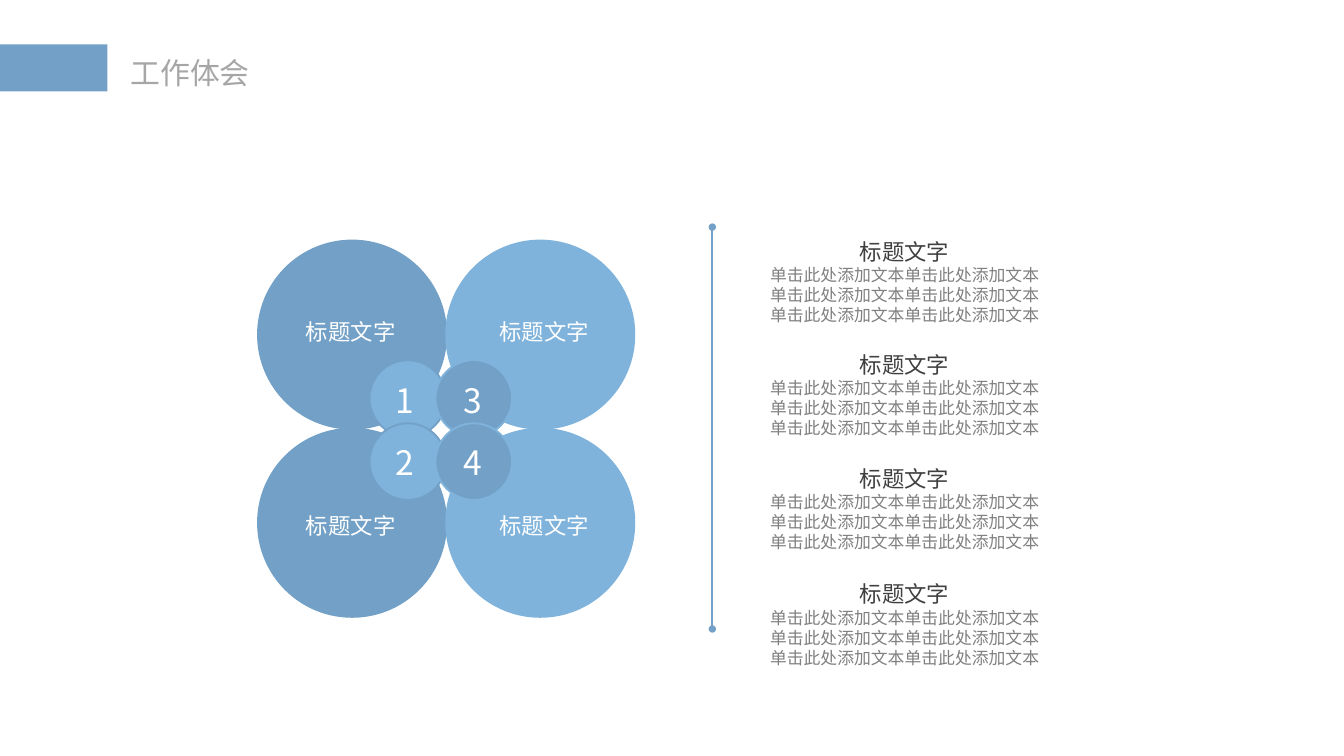
import itertools

import pptx
import pptx.dml.color
import pptx.enum.shapes
import pptx.enum.text
import pptx.oxml
import pptx.oxml.ns
import pptx.util
from pptx.util import Inches

FONT = "Noto Sans CJK SC"
COLORS = {
    "dark": "72A0C6",
    "light": "7FB3DB",
    "title": "A6A6A6",
    "heading": "404040",
    "body": "808080",
    "white": "FFFFFF",
}
HEADING = "标题文字"
BODY = ["单击此处添加文本单击此处添加文本"] * 3
ITEM_TOPS = [1.77, 2.61, 3.46, 4.32]
SHAPES = pptx.enum.shapes.MSO_SHAPE


def rgb(name):
    return pptx.dml.color.RGBColor.from_string(COLORS[name])


def add_filled_shape(slide, kind, left, top, width, height, fill, line=None):
    shape = slide.shapes.add_shape(
        kind, Inches(left), Inches(top), Inches(width), Inches(height))
    shape.shadow.inherit = False
    shape.fill.solid()
    shape.fill.fore_color.rgb = rgb(fill)
    if line:
        shape.line.color.rgb = rgb(line)
        shape.line.width = pptx.util.Pt(1)
    else:
        shape.line.fill.background()


def add_text(slide, left, top, width, height, lines, insets=(0.1, 0.05), wrap=False):
    """Add a centred text box; each line is (text, size, color)."""
    box = slide.shapes.add_textbox(
        Inches(left), Inches(top), Inches(width), Inches(height))
    frame = box.text_frame
    frame.word_wrap = wrap
    frame.margin_left = frame.margin_right = Inches(insets[0])
    frame.margin_top = frame.margin_bottom = Inches(insets[1])
    for index, (text, size, color) in enumerate(lines):
        paragraph = frame.add_paragraph() if index else frame.paragraphs[0]
        paragraph.alignment = pptx.enum.text.PP_ALIGN.CENTER
        paragraph.line_spacing = pptx.util.Pt(size * 1.2)
        run = paragraph.add_run()
        run.text = text
        run.font.size = pptx.util.Pt(size)
        run.font.name = FONT
        run.font.color.rgb = rgb(color)
        east_asian = pptx.oxml.parse_xml(
            f'<a:ea {pptx.oxml.ns.nsdecls("a")} typeface="{FONT}"/>')
        run.font._element.find(pptx.oxml.ns.qn("a:latin")).addnext(east_asian)


def add_header(slide, top):
    add_filled_shape(slide, SHAPES.RECTANGLE, 0, top, 0.8, 0.35, "dark")
    add_text(slide, 0.89, top + 0.04, 1.05, 0.35,
             [("工作体会", 16, "title")], insets=(0.08, 0.04))


def add_clover(slide, left, top):
    """Four large circles with four numbered circles over their centre."""
    cells = list(itertools.product(range(2), range(2)))
    tones = ["dark", "light"]
    for row, column in cells:
        add_filled_shape(slide, SHAPES.OVAL, left + 1.4 * column, top + 1.4 * row,
                         1.4, 1.4, tones[column], tones[column])
    for row, column in cells:
        add_filled_shape(slide, SHAPES.OVAL, left + 0.83 + 0.49 * column,
                         top + 0.89 + 0.47 * row, 0.57, 0.57,
                         tones[1 - column], tones[column])
    for row, column in cells:
        number = str(1 + row + 2 * column)
        add_text(slide, left + 0.92 + 0.5 * column, top + 0.99 + 0.46 * row,
                 0.35, 0.4, [(number, 18, "white")])
        add_text(slide, left + 0.25 + 1.44 * column, top + 0.53 + 1.44 * row,
                 0.88, 0.3, [(HEADING, 12, "white")])


def add_divider(slide, x, top, bottom):
    connector = slide.shapes.add_connector(
        pptx.enum.shapes.MSO_CONNECTOR.STRAIGHT,
        Inches(x), Inches(top), Inches(x), Inches(bottom))
    connector.line.color.rgb = rgb("dark")
    connector.line.width = pptx.util.Pt(1)
    namespace = pptx.oxml.ns.nsdecls("a")
    for end in ("headEnd", "tailEnd"):
        connector.line._get_or_add_ln().append(pptx.oxml.parse_xml(
            f'<a:{end} {namespace} type="oval" w="sm" len="sm"/>'))
    connector._element.spPr.append(
        pptx.oxml.parse_xml(f"<a:effectLst {namespace}/>"))


def add_items(slide, left, tops, width):
    lines = [(HEADING, 12, "heading")] + [(text, 9, "body") for text in BODY]
    for top in tops:
        add_text(slide, left, top, width, 0.66, lines, insets=(0, 0), wrap=True)


def main():
    presentation = pptx.Presentation()
    presentation.slide_width = Inches(10)
    presentation.slide_height = Inches(10 * 9 / 16)
    slide = presentation.slides.add_slide(presentation.slide_layouts[6])
    add_header(slide, 0.33)
    add_clover(slide, 1.92, 1.79)
    add_items(slide, 4.88, ITEM_TOPS, 3.7)
    add_divider(slide, 5.3, 1.69, 4.68)
    presentation.save("out.pptx")


if __name__ == "__main__":
    main()
